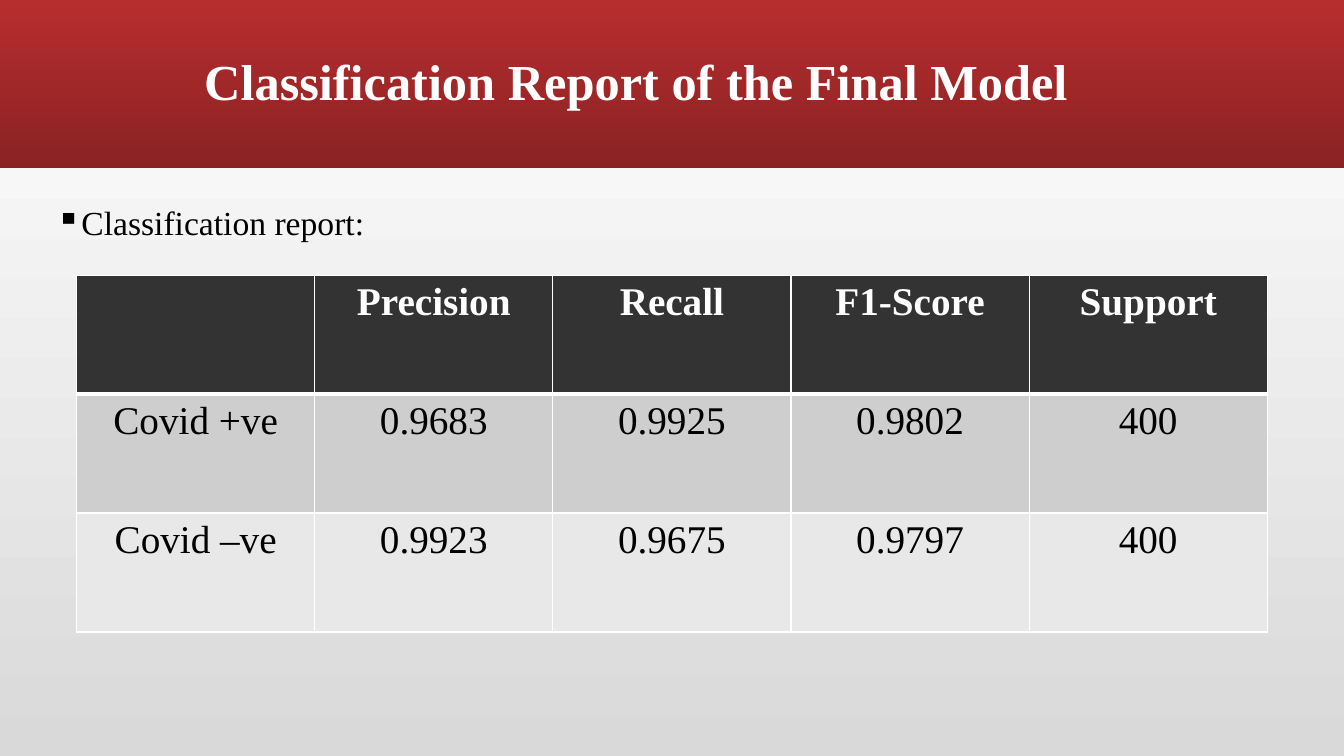
from dataclasses import dataclass

from lxml import etree
from pptx import Presentation
from pptx import util as u
from pptx.dml.color import RGBColor
from pptx.enum import shapes, text
from pptx.oxml import ns


@dataclass(frozen=True)
class Theme:
    """Colours, font and type sizes of the deck."""
    font: str = "Times New Roman"
    light: str = "FFFFFF"
    dark: str = "000000"
    backdrop: tuple = ("D9D9D9", "FFFFFF")
    banner: tuple = ("B82D2F", "8A2223")
    row_fills: tuple = ("333333", "CECECE", "E8E8E8")
    title_size: int = 36
    body_size: int = 24
    table_size: int = 28


THEME = Theme()
WIDTH, HEIGHT = 13.33, 7.5
REPORT = (
    ("", "Precision", "Recall", "F1-Score", "Support"),
    ("Covid +ve", "0.9683", "0.9925", "0.9802", "400"),
    ("Covid –ve", "0.9923", "0.9675", "0.9797", "400"),
)


def inches(box):
    """Turn a box of inches into lengths."""
    return [u.Inches(side) for side in box]


def paint_gradient(fill, colours, angle):
    """Fill with a two-colour linear gradient."""
    fill.gradient()
    fill.gradient_angle = angle
    for stop, colour in zip(fill.gradient_stops, colours):
        stop.color.rgb = RGBColor.from_string(colour)


def add_span(para, words, size, colour, bold=False):
    """Add one styled run to a paragraph."""
    span = para.add_run()
    span.text = words
    span.font.name = THEME.font
    span.font.size = u.Pt(size)
    span.font.bold = bold
    span.font.color.rgb = RGBColor.from_string(colour)


def add_text_frame(page, box):
    """Add a wrapping text box and return its frame."""
    frame = page.shapes.add_textbox(*inches(box)).text_frame
    frame.word_wrap = True
    frame.paragraphs[0].line_spacing = 0.9
    return frame


def add_banner(page, box, title):
    """Draw the gradient banner with its centred title."""
    left, top, width, height = box
    banner = page.shapes.add_shape(shapes.MSO_SHAPE.RECTANGLE, *inches(box))
    banner.shadow.inherit = False
    banner.line.fill.background()
    paint_gradient(banner.fill, THEME.banner, 270)
    frame = add_text_frame(page, (left + 0.46, top + 0.11, 11.7, height - 0.22))
    frame.vertical_anchor = text.MSO_ANCHOR.MIDDLE
    para = frame.paragraphs[0]
    para.alignment = text.PP_ALIGN.CENTER
    add_span(para, title, THEME.title_size, THEME.light, True)


def add_bullet(page, box, words):
    """Write one square-bulleted line at the top of the box."""
    para = add_text_frame(page, box).paragraphs[0]
    para.space_before = u.Pt(18)
    props = para._p.get_or_add_pPr()
    props.set("marL", str(u.Inches(0.25)))
    props.set("indent", str(-u.Inches(0.25)))
    etree.SubElement(props, ns.qn("a:buChar"), char="▪")
    add_span(para, words, THEME.body_size, THEME.dark)


def add_border(cell, side, points):
    """Draw one light border of a table cell."""
    props = cell._tc.get_or_add_tcPr()
    line = etree.SubElement(props, ns.qn(f"a:ln{side}"), w=str(u.Pt(points)))
    solid = etree.SubElement(line, ns.qn("a:solidFill"))
    etree.SubElement(solid, ns.qn("a:srgbClr"), val=THEME.light)


def add_report(page, box, rows):
    """Lay out the report as a table of equal cells."""
    table = page.shapes.add_table(len(rows), len(rows[0]), *inches(box)).table
    for row_index, (values, fill) in enumerate(zip(rows, THEME.row_fills)):
        header = row_index == 0
        for column_index, value in enumerate(values):
            cell = table.cell(row_index, column_index)
            thickness = {"L": 1, "R": 1, "T": 3 if row_index == 1 else 1, "B": 3 if header else 1}
            for side, points in thickness.items():
                add_border(cell, side, points)
            cell.fill.solid()
            cell.fill.fore_color.rgb = RGBColor.from_string(fill)
            para = cell.text_frame.paragraphs[0]
            para.alignment = text.PP_ALIGN.CENTER
            if value:
                add_span(para, value, THEME.table_size, THEME.light if header else THEME.dark, header)


def build_report_page(deck):
    """Add the classification report page."""
    page = deck.slides.add_slide(deck.slide_layouts[6])
    paint_gradient(page.background.fill, THEME.backdrop, 90)
    add_banner(page, (0, 0, WIDTH, 1.67), "Classification Report of the Final Model")
    add_bullet(page, (0.46, 2, 11.2, 5), "Classification report:")
    add_report(page, (0.76, 2.73, 11.81, 3.54), REPORT)


def main():
    """Build and save the deck."""
    deck = Presentation()
    deck.slide_width, deck.slide_height = inches((WIDTH, HEIGHT))
    build_report_page(deck)
    deck.save("out.pptx")


if __name__ == "__main__":
    main()
